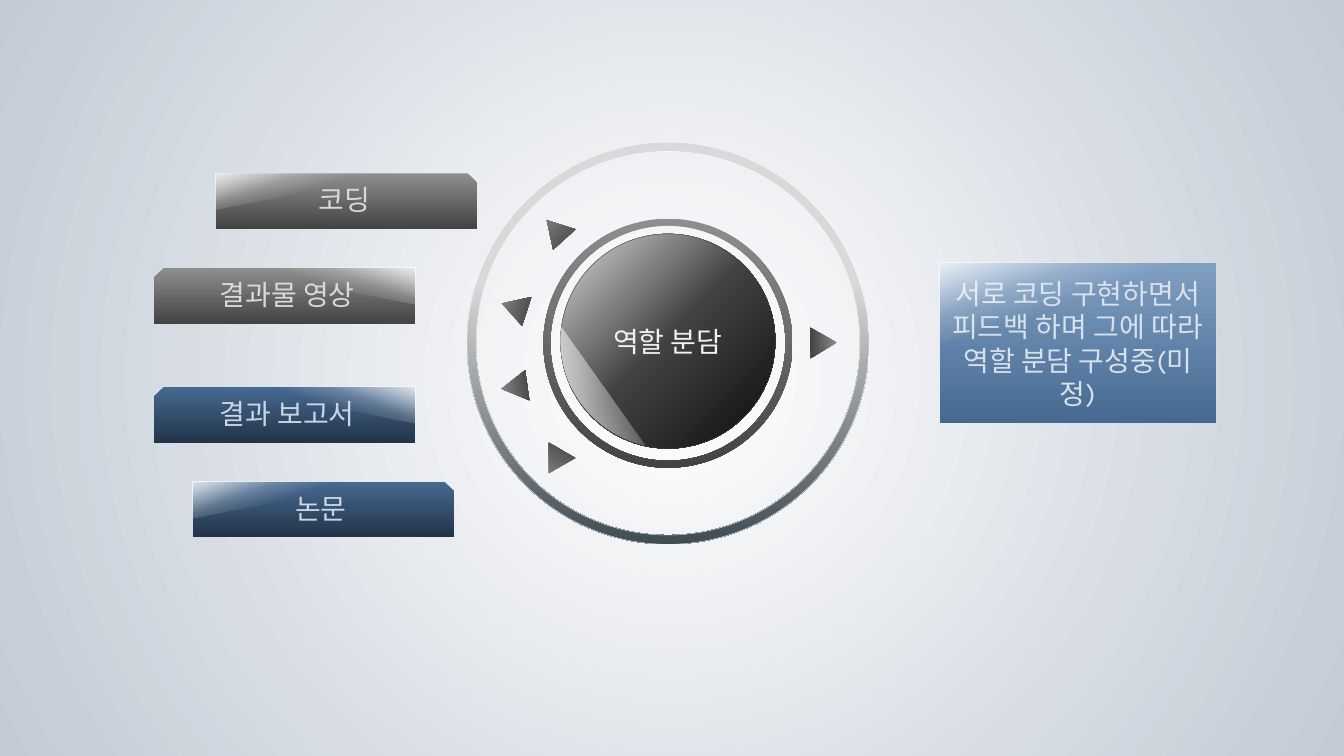
"""Build a role-sharing slide: a central dial, four task bars and a status panel."""
from dataclasses import dataclass

from lxml.etree import SubElement, _Element as Element
from pptx import Presentation
from pptx.dml.color import RGBColor
from pptx.enum.shapes import MSO_SHAPE as Preset
from pptx.enum.text import MSO_ANCHOR as Anchor, PP_ALIGN as Align
from pptx.oxml.ns import qn
from pptx.shapes.autoshape import Shape
from pptx.slide import Slide
from pptx.util import Inches, Pt

WHITE = RGBColor(0xFF, 0xFF, 0xFF)
MIST = RGBColor(0xC2, 0xCA, 0xD5)
SILVER = RGBColor(0xD9, 0xD9, 0xD9)
GRAY = RGBColor(0x8E, 0x8E, 0x8E)
DARK_GRAY = RGBColor(0x43, 0x43, 0x43)
CHARCOAL = RGBColor(0x40, 0x40, 0x40)
BLACK = RGBColor(0x0D, 0x0D, 0x0D)
SLATE = RGBColor(0x40, 0x4B, 0x52)
LIGHT_BLUE = RGBColor(0x80, 0x9F, 0xC2)
BLUE = RGBColor(0x46, 0x69, 0x91)
NAVY = RGBColor(0x23, 0x34, 0x48)
DIAL_TEXT = RGBColor(0xF2, 0xF2, 0xF2)
BAR_TEXT = RGBColor(0xC9, 0xD6, 0xE5)
PANEL_TEXT = RGBColor(0xD7, 0xE1, 0xEC)

FONT = "Karla"
BAR_WIDTH, BAR_HEIGHT = 2.59, 0.55


@dataclass(frozen=True)
class Stop:
    position: int
    color: RGBColor
    alpha: int = 100


@dataclass(frozen=True)
class Gradient:
    stops: tuple[Stop, ...]
    angle: int | None = 90


@dataclass(frozen=True)
class Bar:
    text: str
    left: float
    top: float
    gradient: Gradient
    text_color: RGBColor
    flipped: bool = False


@dataclass(frozen=True)
class Pointer:
    left: float
    top: float
    rotation: float
    flipped: bool = False


def fade(first: RGBColor, last: RGBColor, start: int = 0) -> Gradient:
    return Gradient((Stop(start, first), Stop(100, last)))


GRAY_FADE = fade(GRAY, DARK_GRAY)
NAVY_FADE = fade(BLUE, NAVY)
RING_FADE = fade(SILVER, SLATE, start=35)
DIAL_FADE = Gradient((Stop(0, SILVER), Stop(50, CHARCOAL), Stop(100, BLACK)), 45)
GLARE_FADE = Gradient(
    (Stop(0, WHITE, 85), Stop(30, WHITE, 20), Stop(50, WHITE, 0), Stop(100, WHITE, 0)), 340
)
BACKDROP = Gradient((Stop(0, WHITE), Stop(100, MIST)), None)

BARS = (
    Bar("결과물 영상", 1.53, 2.66, GRAY_FADE, SILVER, True),
    Bar("코딩", 2.14, 1.72, GRAY_FADE, SILVER),
    Bar("논문", 1.91, 4.78, NAVY_FADE, BAR_TEXT),
    Bar("결과 보고서", 1.53, 3.84, NAVY_FADE, BAR_TEXT, True),
)
POINTERS = (
    Pointer(5.36, 2.15, 317.7),
    Pointer(5.36, 4.45, 210),
    Pointer(8.02, 3.27, 89, True),
    Pointer(4.95, 2.92, 287.8, True),
    Pointer(4.95, 3.71, 262, True),
)


def apply_gradient(properties: Element, gradient: Gradient) -> None:
    """Replace the empty fill of a properties element with a gradient."""
    empty_fill = properties.find(qn("a:noFill"))
    fill = SubElement(properties, qn("a:gradFill"), rotWithShape="1")
    properties.replace(empty_fill, fill)
    stop_list = SubElement(fill, qn("a:gsLst"))
    for stop in gradient.stops:
        entry = SubElement(stop_list, qn("a:gs"), pos=str(stop.position * 1000))
        color = SubElement(entry, qn("a:srgbClr"), val=str(stop.color))
        if stop.alpha < 100:
            SubElement(color, qn("a:alpha"), val=str(stop.alpha * 1000))
    if gradient.angle is None:
        path = SubElement(fill, qn("a:path"), path="circle")
        SubElement(path, qn("a:fillToRect"), l="50000", t="50000", r="50000", b="50000")
    else:
        SubElement(fill, qn("a:lin"), ang=str(gradient.angle * 60000), scaled="0")


def add_part(
    slide: Slide, preset: Preset, left: float, top: float, width: float, height: float,
    gradient: Gradient, *, adjustments: tuple[float, ...] = (), rotation: float = 0,
    flipped: bool = False, line: RGBColor | None = None,
) -> Shape:
    """Add a gradient-filled preset shape."""
    shape = slide.shapes.add_shape(
        preset, Inches(left), Inches(top), Inches(width), Inches(height)
    )
    shape.shadow.inherit = False
    shape.rotation = rotation
    for index, value in enumerate(adjustments):
        shape.adjustments[index] = value
    shape.fill.background()
    properties = shape.element.spPr
    apply_gradient(properties, gradient)
    if flipped:
        properties.find(qn("a:xfrm")).set("flipH", "1")
    if line is None:
        shape.line.fill.background()
    else:
        shape.line.color.rgb = line
        shape.line.width = Pt(0.25)
    return shape


def set_text(shape: Shape, text: str, *, color: RGBColor, anchor: Anchor = Anchor.MIDDLE) -> None:
    """Write centred text into a shape."""
    frame = shape.text_frame
    frame.word_wrap = True
    frame.vertical_anchor = anchor
    paragraph = frame.paragraphs[0]
    paragraph.alignment = Align.CENTER
    run = paragraph.add_run()
    run.text = text
    run.font.name = FONT
    run.font.size = Pt(20)
    run.font.color.rgb = color


def add_glare(
    slide: Slide, left: float, top: float, length: float, depth: float, flipped: bool = False
) -> None:
    """Lay a quarter-turned triangle over the given box."""
    offset = (length - depth) / 2
    add_part(
        slide, Preset.RIGHT_TRIANGLE, left + offset, top - offset, depth, length, GLARE_FADE,
        rotation=270 if flipped else 90, flipped=flipped,
    )


def add_bar(slide: Slide, bar: Bar) -> None:
    """Add a task bar with its glare."""
    shape = add_part(
        slide, Preset.SNIP_1_RECTANGLE, bar.left, bar.top, BAR_WIDTH, BAR_HEIGHT, bar.gradient,
        adjustments=(0.167,), flipped=bar.flipped,
    )
    set_text(shape, bar.text, color=bar.text_color, anchor=Anchor.TOP)
    length = 1.87
    glare_left = bar.left + (BAR_WIDTH - length if bar.flipped else 0)
    add_glare(slide, glare_left, bar.top, length, 0.36, bar.flipped)


def add_dial(slide: Slide) -> None:
    """Add the rings, the central disc and the pointers."""
    add_part(slide, Preset.DONUT, 4.63, 1.41, 3.99, 3.99, RING_FADE,
             adjustments=(0.023,), line=WHITE)
    add_part(slide, Preset.DONUT, 5.39, 2.17, 2.47, 2.47, GRAY_FADE, adjustments=(0.028,))
    disc = add_part(slide, Preset.OVAL, 5.56, 2.32, 2.13, 2.13, DIAL_FADE, line=CHARCOAL)
    set_text(disc, "역할 분담", color=DIAL_TEXT)
    add_part(slide, Preset.CHORD, 5.56, 2.31, 2.14, 2.14, GLARE_FADE,
             adjustments=(61.48, 112.65))
    for pointer in POINTERS:
        add_part(slide, Preset.ISOSCELES_TRIANGLE, pointer.left, pointer.top, 0.3, 0.26,
                 GRAY_FADE, rotation=pointer.rotation, flipped=pointer.flipped)


def main() -> None:
    presentation = Presentation()
    presentation.slide_width, presentation.slide_height = Inches(13.33), Inches(7.5)
    slide = presentation.slides.add_slide(presentation.slide_layouts[6])
    slide.background.fill.background()
    apply_gradient(slide.element.find(".//" + qn("p:bgPr")), BACKDROP)
    add_dial(slide)
    for bar in BARS:
        add_bar(slide, bar)
    panel = add_part(slide, Preset.RECTANGLE, 9.32, 2.61, 2.74, 1.59, fade(LIGHT_BLUE, BLUE))
    set_text(panel, "서로 코딩 구현하면서 피드백 하며 그에 따라 역할 분담 구성중(미정)", color=PANEL_TEXT)
    add_glare(slide, 9.32, 2.61, 2.53, 0.8)
    presentation.save("out.pptx")


if __name__ == "__main__":
    main()
